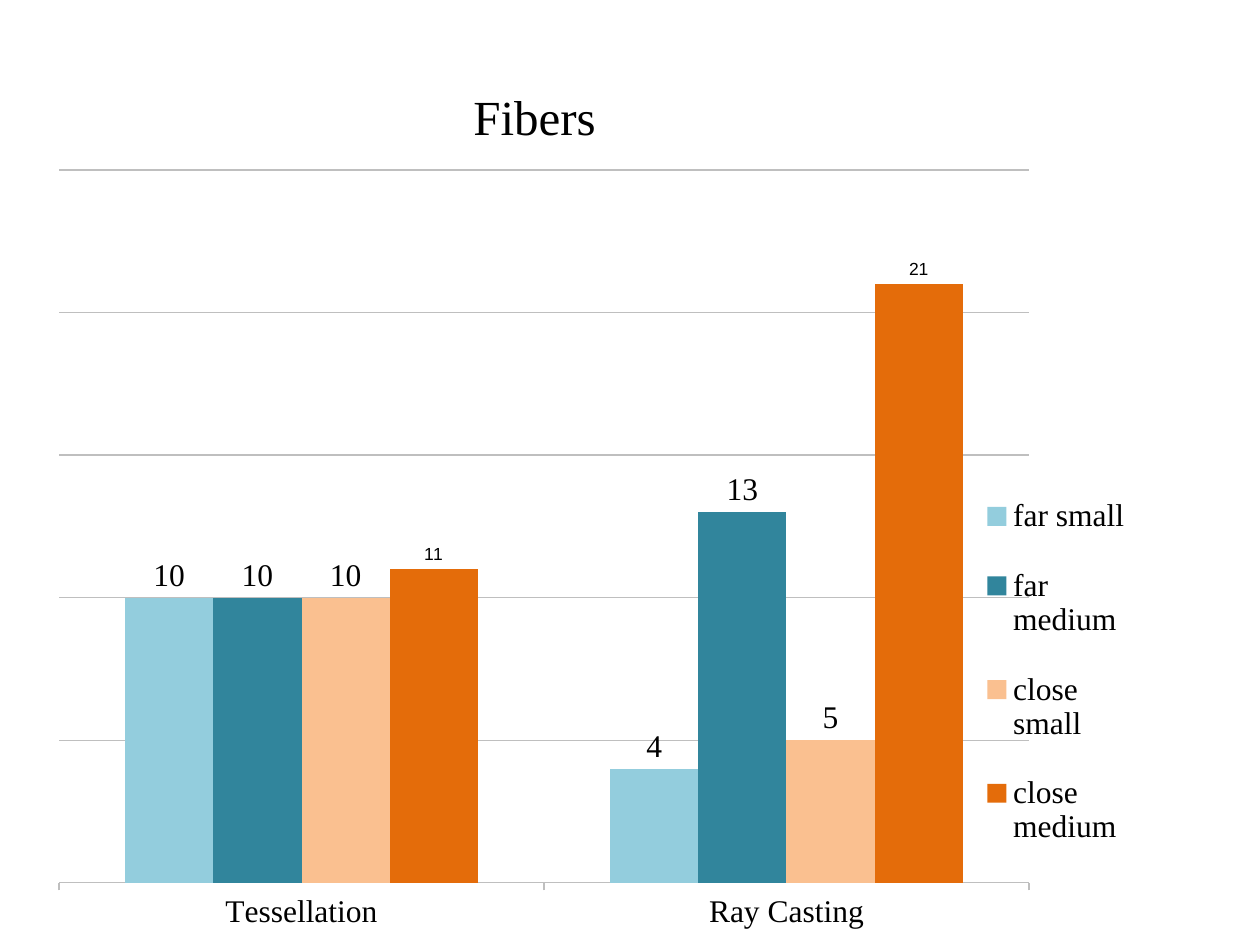
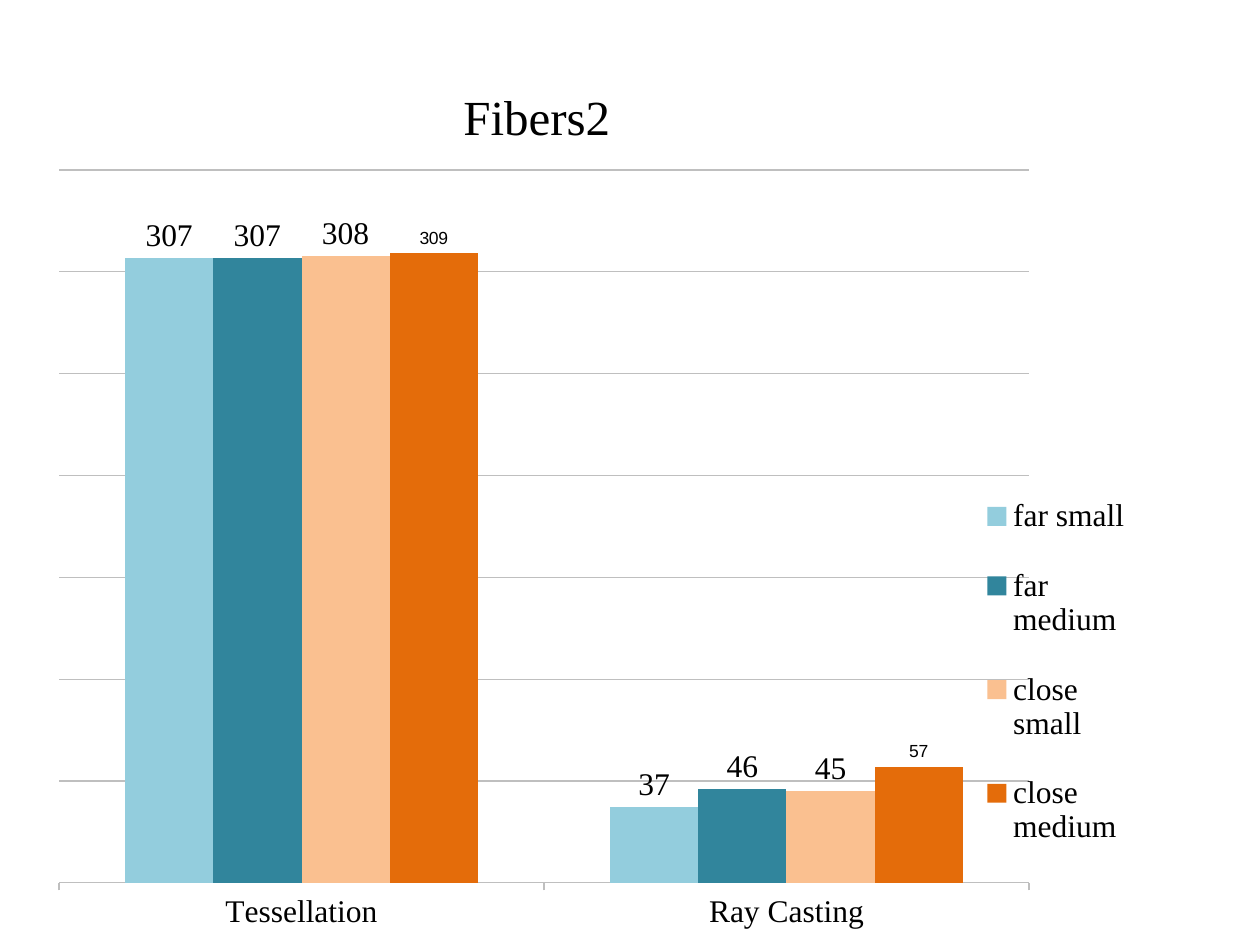
from pptx import Presentation
from pptx.chart.data import CategoryChartData
from pptx.dml.color import RGBColor
from pptx.enum.chart import XL_CHART_TYPE, XL_LABEL_POSITION, XL_LEGEND_POSITION, XL_TICK_MARK
from pptx.enum.text import MSO_ANCHOR
from pptx.oxml import parse_xml
from pptx.oxml.ns import nsdecls
from pptx.util import Pt

# Shared scale, colours and fonts
PX = 914400 // 126
BLACK = RGBColor(0x00, 0x00, 0x00)
GRID_GREY = RGBColor(0xBF, 0xBF, 0xBF)
SERIES_COLORS = {
    "far small": RGBColor(0x93, 0xCD, 0xDD),
    "far medium": RGBColor(0x31, 0x85, 0x9C),
    "close small": RGBColor(0xFA, 0xC0, 0x90),
    "close medium": RGBColor(0xE4, 0x6C, 0x0A),
}
SERIF = "Times New Roman"
SANS = "Arial"

COLUMNS = XL_CHART_TYPE.COLUMN_CLUSTERED
OUTSIDE_END = XL_LABEL_POSITION.OUTSIDE_END
LEGEND_RIGHT = XL_LEGEND_POSITION.RIGHT
TICK_OUTSIDE = XL_TICK_MARK.OUTSIDE
MIDDLE = MSO_ANCHOR.MIDDLE

# Places in pixels: left, top, width, height
CHART_BOX = (35, 155, 1184, 790)
PLOT_BOX = (59, 170, 970, 713)
LEGEND_BOX = (980, 464, 152, 416)

METHODS = ("Tessellation", "Ray Casting")


def style_font(font, size, name=SERIF):
    font.size = Pt(size)
    font.name = name
    font.color.rgb = BLACK


def style_line(line):
    line.color.rgb = GRID_GREY
    line.width = Pt(0.75)


def add_title(slide, text, left, width):
    box = slide.shapes.add_textbox(left * PX, 37 * PX, width * PX, 157 * PX)
    frame = box.text_frame
    frame.word_wrap = False
    frame.vertical_anchor = MIDDLE
    frame.text = text
    style_font(frame.paragraphs[0].font, 28)


def set_layout(parent, index, box, target=""):
    """Place a chart part by hand, as fractions of the chart frame."""
    for old in parent.xpath("c:layout"):
        parent.remove(old)
    left, top, width, height = CHART_BOX
    places = {
        "x": (box[0] - left) / width,
        "y": (box[1] - top) / height,
        "w": box[2] / width,
        "h": box[3] / height,
    }
    modes = "".join(f'<c:{key}Mode val="edge"/>' for key in "xy")
    values = "".join(f'<c:{key} val="{value:.4f}"/>' for key, value in places.items())
    parent.insert(index, parse_xml(
        f'<c:layout {nsdecls("c")}><c:manualLayout>{target}{modes}{values}'
        "</c:manualLayout></c:layout>"))


def style_axes(chart, top_value, step):
    methods = chart.category_axis
    methods.major_tick_mark = TICK_OUTSIDE
    style_line(methods.format.line)

    values = chart.value_axis
    values.visible = False
    values.minimum_scale = 0
    values.maximum_scale = top_value
    values.major_unit = step
    values.has_major_gridlines = True
    style_line(values.major_gridlines.format.line)


def style_series(series):
    series.format.fill.solid()
    series.format.fill.fore_color.rgb = SERIES_COLORS[series.name]
    labels = series.data_labels
    labels.show_value = True
    labels.position = OUTSIDE_END
    if series.name == "close medium":
        style_font(labels.font, 10, SANS)
    else:
        style_font(labels.font, 18)


def add_column_chart(slide, rows, top_value, step):
    data = CategoryChartData()
    data.categories = METHODS
    for name, values in zip(SERIES_COLORS, rows):
        data.add_series(name, values)
    frame = slide.shapes.add_chart(COLUMNS, *(n * PX for n in CHART_BOX), data)
    chart = frame.chart
    chart.has_title = False
    style_font(chart.font, 18)

    plot = chart.plots[0]
    plot.vary_by_categories = False
    plot.gap_width = 150
    plot.overlap = 0
    for series in plot.series:
        style_series(series)
    style_axes(chart, top_value, step)

    # The legend lies over the right end of the gridlines
    chart.has_legend = True
    chart.legend.position = LEGEND_RIGHT
    chart.legend.include_in_layout = False
    style_font(chart.legend.font, 18)
    chart_root = chart.element
    set_layout(chart_root.xpath("c:chart/c:plotArea")[0], 0, PLOT_BOX,
               '<c:layoutTarget val="inner"/>')
    set_layout(chart_root.xpath("c:chart/c:legend")[0], 1, LEGEND_BOX)


def main():
    deck = Presentation()
    deck.slide_width = 1260 * PX
    deck.slide_height = 945 * PX

    # Title, its left and width, series rows, axis top and step
    results = (
        ("Fibers", 461, 169, ((10, 4), (10, 13), (10, 5), (11, 21)), 25, 5),
        ("Fibers2", 451, 179, ((307, 37), (307, 46), (308, 45), (309, 57)), 350, 50),
    )
    for title, left, width, rows, top_value, step in results:
        slide = deck.slides.add_slide(deck.slide_layouts[6])
        add_title(slide, title, left, width)
        add_column_chart(slide, rows, top_value, step)

    deck.save("out.pptx")


main()
